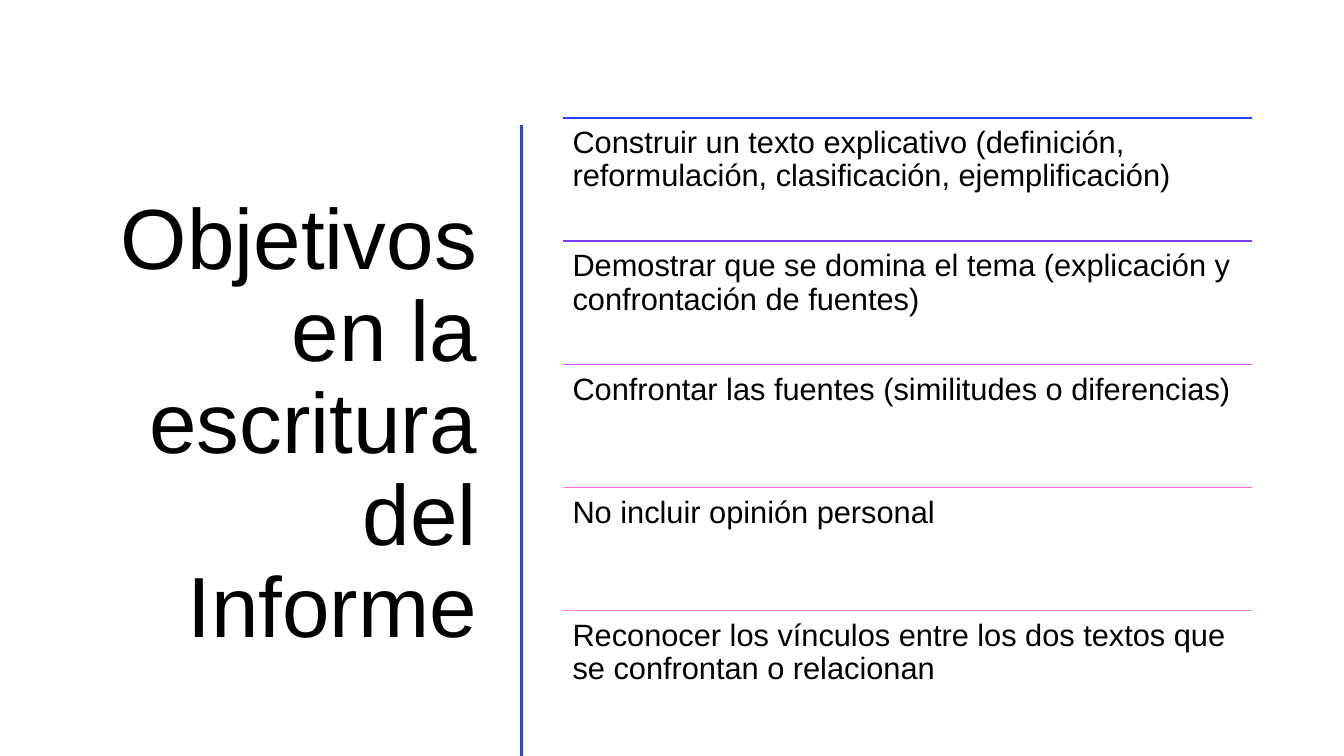
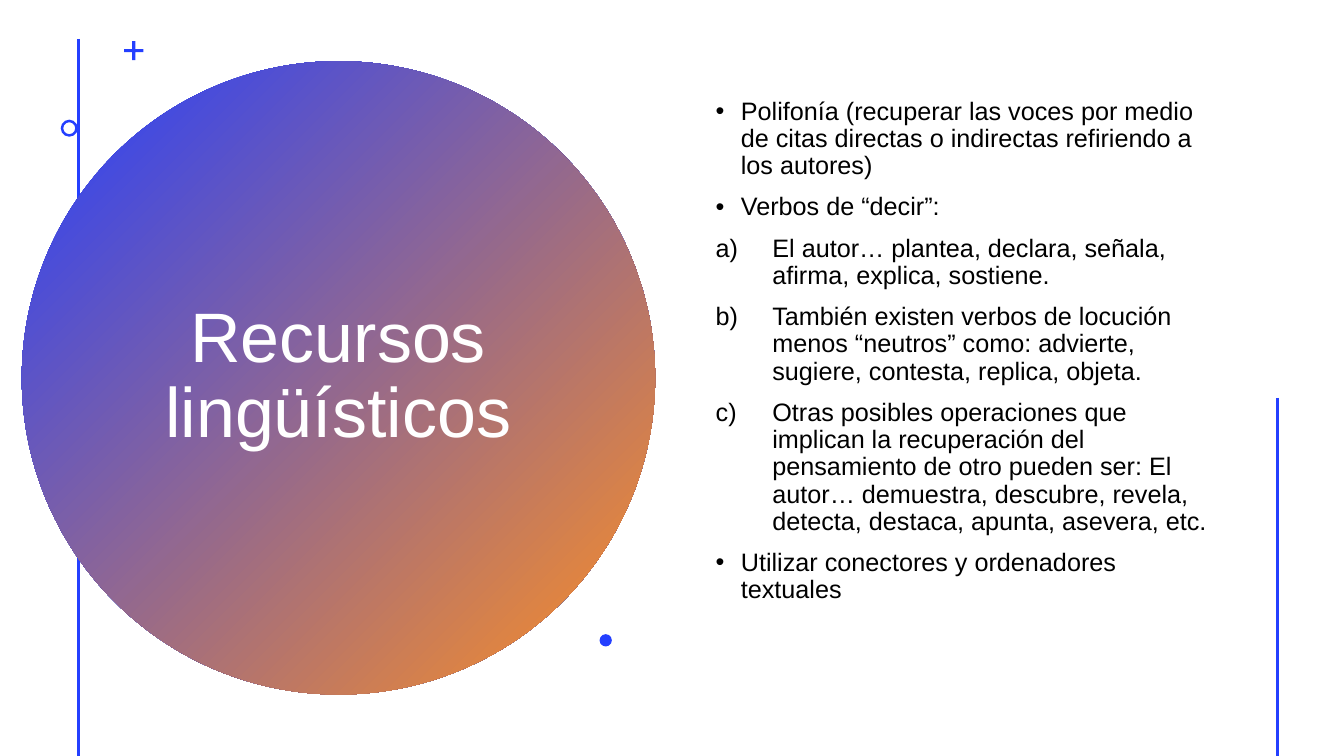
"""Build two slides on the aims and the language resources of a report."""
import lxml.etree
import pptx
import pptx.dml.color
import pptx.enum.shapes
import pptx.enum.text
import pptx.oxml.ns
import pptx.util

Pt = pptx.util.Pt
SHAPES = pptx.enum.shapes.MSO_SHAPE
ALIGN = pptx.enum.text.PP_ALIGN
ANCHOR = pptx.enum.text.MSO_ANCHOR

FONT = "Arial"
COLORS = {"text": "000000", "light": "FFFFFF", "accent": "243FFF", "warm": "FF9022"}
SLIDE_WIDTH, SLIDE_HEIGHT = 960, 540
TITLE_ONLY, TITLE_AND_BODY = 5, 1

GOALS_TITLE = "Objetivos en la escritura del Informe"
GOALS = [
    ("Construir un texto explicativo (definición, reformulación, clasificación, ejemplificación)", "243FFF"),
    ("Demostrar que se domina el tema (explicación y confrontación de fuentes)", "773CFF"),
    ("Confrontar las fuentes (similitudes o diferencias)", "D154FF"),
    ("No incluir opinión personal", "FF6BE7"),
    ("Reconocer los vínculos entre los dos textos que se confrontan o relacionan", "FF83B6"),
]
GOALS_LEFT, GOALS_TOP, GOALS_WIDTH, GOAL_HEIGHT = 402.4, 84.2, 491.8, 88

RESOURCES_TITLE = "Recursos lingüísticos"
RESOURCES = [
    ("dot", "Polifonía (recuperar las voces por medio de citas directas o indirectas refiriendo a los autores)"),
    ("dot", "Verbos de “decir”:"),
    ("letter", "El autor… plantea, declara, señala, afirma, explica, sostiene."),
    ("letter", "También existen verbos de locución menos “neutros” como: advierte, sugiere, contesta, replica, objeta."),
    ("letter", "Otras posibles operaciones que implican la recuperación del pensamiento de otro pueden ser: "
               "El autor… demuestra, descubre, revela, detecta, destaca, apunta, asevera, etc."),
    ("dot", "Utilizar conectores y ordenadores textuales"),
]
BULLETS = {
    "dot": (18, "buChar", {"char": "•"}),
    "letter": (40.5, "buAutoNum", {"type": "alphaLcParenR"}),
}
ORNAMENTS = [
    (SHAPES.CROSS, 88.7, 29.3, 13.7, 0.42),
    (SHAPES.DONUT, 43.4, 85.5, 12.2, 0.15),
    (SHAPES.OVAL, 428.3, 453, 8.8, None),
]


def rgb(value):
    return pptx.dml.color.RGBColor.from_string(value)


def place(shape, left, top, width, height):
    shape.left, shape.top, shape.width, shape.height = Pt(left), Pt(top), Pt(width), Pt(height)


def style(paragraph, size, color=COLORS["text"], align=ALIGN.LEFT):
    paragraph.alignment = align
    paragraph.line_spacing = 0.9
    paragraph.font.name = FONT
    paragraph.font.size = Pt(size)
    paragraph.font.color.rgb = rgb(color)


def set_frame(shape, anchor):
    frame = shape.text_frame
    frame.word_wrap = True
    frame.auto_size = pptx.enum.text.MSO_AUTO_SIZE.NONE
    frame.vertical_anchor = anchor
    return frame


def set_title(slide, text, box, size, color, align):
    title = slide.shapes.title
    place(title, *box)
    frame = set_frame(title, ANCHOR.MIDDLE)
    frame.text = text
    style(frame.paragraphs[0], size, color, align)
    return title


def add_line(slide, start, end, color=COLORS["accent"], width=2):
    line = slide.shapes.add_connector(
        pptx.enum.shapes.MSO_CONNECTOR.STRAIGHT, *(Pt(value) for value in start + end))
    line.line.color.rgb = rgb(color)
    line.line.width = Pt(width)
    lxml.etree.SubElement(line._element.spPr, pptx.oxml.ns.qn("a:effectLst"))


def add_vertical_rule(slide, left, top):
    add_line(slide, (left, top), (left, SLIDE_HEIGHT))


def add_plain_shape(slide, kind, left, top, size):
    shape = slide.shapes.add_shape(kind, Pt(left), Pt(top), Pt(size), Pt(size))
    shape.shadow.inherit = False
    shape.line.fill.background()
    return shape


def add_goal(slide, index, text, color):
    top = GOALS_TOP + index * GOAL_HEIGHT
    add_line(slide, (GOALS_LEFT, top), (GOALS_LEFT + GOALS_WIDTH, top), color, 1)
    box = slide.shapes.add_textbox(0, 0, 0, 0)
    place(box, GOALS_LEFT, top, GOALS_WIDTH, GOAL_HEIGHT)
    frame = set_frame(box, ANCHOR.TOP)
    frame.margin_left = frame.margin_right = frame.margin_top = frame.margin_bottom = Pt(6.6)
    frame.text = text
    style(frame.paragraphs[0], 22)


def set_bullet(paragraph, kind):
    indent, tag, attributes = BULLETS[kind]
    properties = paragraph._p.get_or_add_pPr()
    properties.set("marL", str(int(Pt(indent))))
    properties.set("indent", str(-int(Pt(indent))))
    lxml.etree.SubElement(properties, pptx.oxml.ns.qn("a:buFont"), typeface=FONT)
    lxml.etree.SubElement(properties, pptx.oxml.ns.qn("a:" + tag), attributes)


def build_goals(presentation):
    slide = presentation.slides.add_slide(presentation.slide_layouts[TITLE_ONLY])
    set_title(slide, GOALS_TITLE, (37.4, 84.2, 310.3, 440), 61, COLORS["text"], ALIGN.RIGHT)
    add_vertical_rule(slide, 372.5, 89)
    for index, (text, color) in enumerate(GOALS):
        add_goal(slide, index, text, color)


def build_resources(presentation):
    slide = presentation.slides.add_slide(presentation.slide_layouts[TITLE_AND_BODY])
    add_vertical_rule(slide, 56, 27.7)
    circle = add_plain_shape(slide, SHAPES.OVAL, 15.6, 43.7, 452.4)
    circle.fill.gradient()
    circle.fill.gradient_angle = 315
    for stop, name in zip(circle.fill.gradient_stops, ("accent", "warm")):
        stop.color.rgb = rgb(COLORS[name])
    title = set_title(slide, RESOURCES_TITLE, (98, 101.5, 287.3, 336), 50, COLORS["light"], ALIGN.CENTER)
    slide.shapes._spTree.append(title._element)

    for kind, left, top, size, adjustment in ORNAMENTS:
        ornament = add_plain_shape(slide, kind, left, top, size)
        ornament.fill.solid()
        ornament.fill.fore_color.rgb = rgb(COLORS["accent"])
        if adjustment is not None:
            ornament.adjustments[0] = adjustment

    body = slide.placeholders[1]
    place(body, 504, 30.2, 368.6, 441.5)
    frame = set_frame(body, ANCHOR.MIDDLE)
    frame.text = "\n".join(text for _, text in RESOURCES)
    for paragraph, (kind, _) in zip(frame.paragraphs, RESOURCES):
        set_bullet(paragraph, kind)
        paragraph.space_before = Pt(10)
        style(paragraph, 18)
    add_vertical_rule(slide, 912.3, 284.2)


def main():
    presentation = pptx.Presentation()
    presentation.slide_width, presentation.slide_height = Pt(SLIDE_WIDTH), Pt(SLIDE_HEIGHT)
    build_goals(presentation)
    build_resources(presentation)
    presentation.save("out.pptx")


if __name__ == "__main__":
    main()
